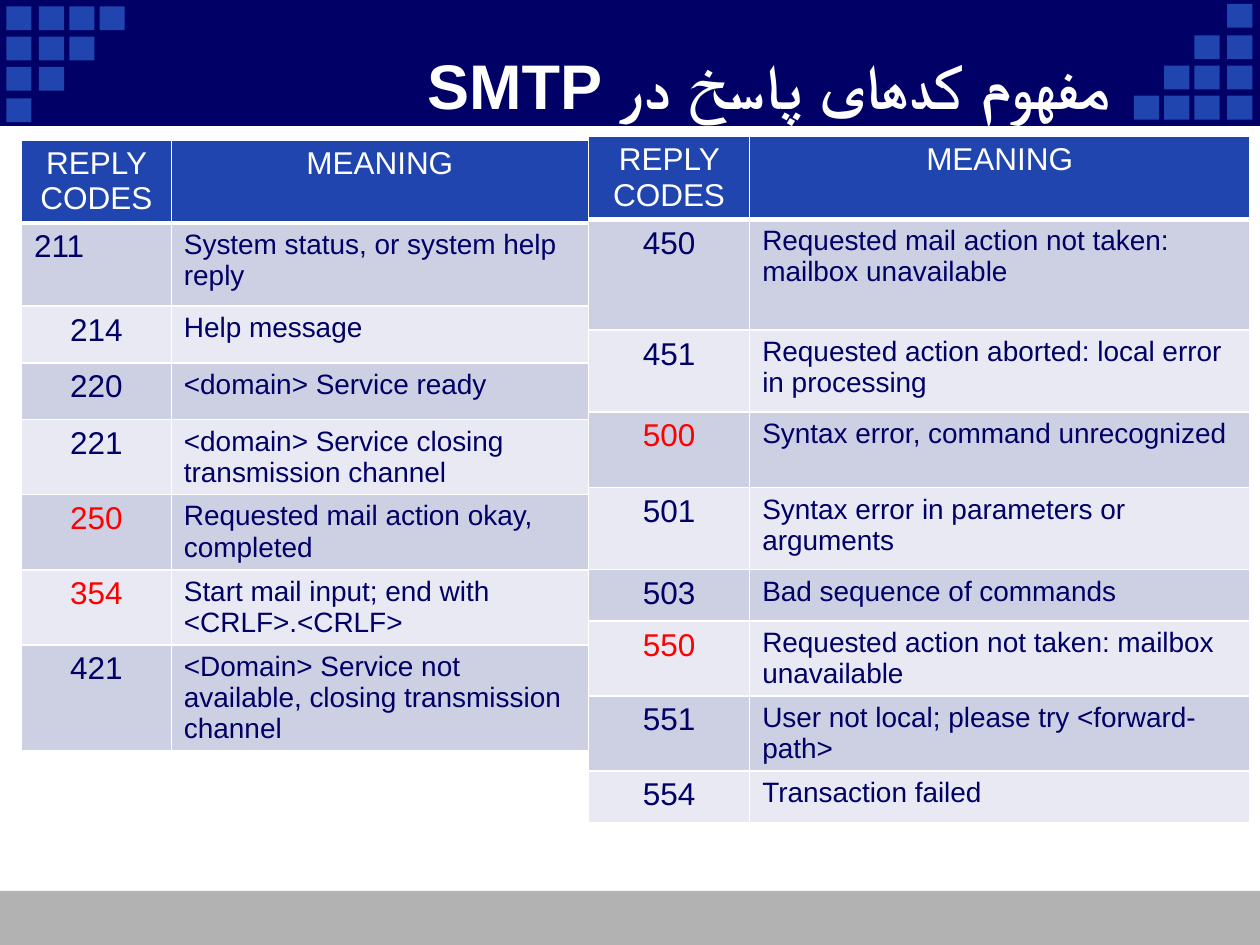
from typing import NamedTuple

from lxml.etree import SubElement
from pptx import Presentation
from pptx.dml.color import RGBColor
from pptx.enum.shapes import MSO_SHAPE
from pptx.enum.text import MSO_ANCHOR, MSO_AUTO_SIZE, PP_ALIGN
from pptx.oxml.ns import qn
from pptx.util import Inches, Pt

NAVY = RGBColor(0x00, 0x00, 0x66)
BLUE = RGBColor(0x20, 0x45, 0xAE)
GRAY = RGBColor(0xB2, 0xB2, 0xB2)
WHITE = RGBColor(0xFF, 0xFF, 0xFF)
RED = RGBColor(0xFF, 0x00, 0x00)
BANDS = (RGBColor(0xCD, 0xCF, 0xE3), RGBColor(0xE8, 0xE9, 0xF2))
FONT = "Arial"
HEADER_HEIGHT = 0.65


class Reply(NamedTuple):
    code: str
    meaning: str
    height: float
    color: RGBColor = NAVY
    align: PP_ALIGN = PP_ALIGN.CENTER


class ReplyTable(NamedTuple):
    left: float
    top: float
    widths: tuple[float, float]
    replies: list[Reply]


SUCCESS = ReplyTable(0.17, 1.11, (1.19, 3.31), [
    Reply("211", "System status, or system help reply", 0.66, align=PP_ALIGN.LEFT),
    Reply("214", "Help message", 0.45),
    Reply("220", "<domain> Service ready", 0.45),
    Reply("221", "<domain> Service closing transmission channel", 0.59),
    Reply("250", "Requested mail action okay, completed", 0.6, RED),
    Reply("354", "Start mail input; end with <CRLF>.<CRLF>", 0.59, RED),
    Reply("421", "<Domain> Service not available, closing transmission channel", 0.83),
])
FAILURE = ReplyTable(4.67, 1.08, (1.28, 3.97), [
    Reply("450", "Requested mail action not taken: mailbox unavailable", 0.88),
    Reply("451", "Requested action aborted: local error in processing", 0.65),
    Reply("500", "Syntax error, command unrecognized", 0.6, RED),
    Reply("501", "Syntax error in parameters or arguments", 0.65),
    Reply("503", "Bad sequence of commands", 0.41),
    Reply("550", "Requested action not taken: mailbox unavailable", 0.59, RED),
    Reply("551", "User not local; please try <forward-path>", 0.59),
    Reply("554", "Transaction failed", 0.41),
])


def add_rect(s, x: float, y: float, w: float, h: float, color: RGBColor) -> None:
    sp = s.shapes.add_shape(MSO_SHAPE.RECTANGLE, Inches(x), Inches(y), Inches(w), Inches(h))
    sp.shadow.inherit = False
    sp.fill.solid()
    sp.fill.fore_color.rgb = color
    sp.line.fill.background()


def add_corner_squares(s) -> None:
    """Draw a staircase of squares top left, and the same one turned top right."""
    w, h = 0.2, 0.19
    xs, ys = (0.05, 0.31, 0.55, 0.79), (0.05, 0.29, 0.53, 0.78)
    for row, y in enumerate(ys):
        for x in xs[:len(xs) - row]:
            add_rect(s, x, y, w, h, BLUE)
            add_rect(s, 9.99 - x - w, 1 - y - h, w, h, BLUE)


def add_run(p, text: str, size: int, color: RGBColor, bold: bool = False) -> None:
    r = p.add_run()
    r.text = text
    r.font.name = FONT
    r.font.size = Pt(size)
    r.font.bold = bold
    r.font.color.rgb = color


def set_borders(cell, bottom: float) -> None:
    tc_pr = cell._tc.get_or_add_tcPr()
    for side, width in (("L", 1), ("R", 1), ("T", 1), ("B", bottom)):
        ln = SubElement(tc_pr, qn(f"a:ln{side}"), w=str(Pt(width)))
        fill = SubElement(ln, qn("a:solidFill"))
        SubElement(fill, qn("a:srgbClr"), val=str(WHITE))


def fill_cell(cell, text: str, size: int, color: RGBColor, band: RGBColor,
              align: PP_ALIGN, bottom: float = 1) -> None:
    set_borders(cell, bottom)
    cell.fill.solid()
    cell.fill.fore_color.rgb = band
    p = cell.text_frame.paragraphs[0]
    p.alignment = align
    add_run(p, text, size, color)


def add_reply_table(s, spec_: ReplyTable) -> None:
    heights = [HEADER_HEIGHT] + [reply.height for reply in spec_.replies]
    table = s.shapes.add_table(
        len(heights), 2, Inches(spec_.left), Inches(spec_.top),
        Inches(sum(spec_.widths)), Inches(sum(heights))).table
    for col, width in zip(table.columns, spec_.widths):
        col.width = Inches(width)
    for row, height in zip(table.rows, heights):
        row.height = Inches(height)
    for i, heading in enumerate(("REPLY CODES", "MEANING")):
        fill_cell(table.cell(0, i), heading, 18, WHITE, BLUE, PP_ALIGN.CENTER, bottom=3)
    for i, reply in enumerate(spec_.replies):
        band = BANDS[i % 2]
        fill_cell(table.cell(i + 1, 0), reply.code, 18, reply.color, band, reply.align)
        fill_cell(table.cell(i + 1, 1), reply.meaning, 16, NAVY, band, PP_ALIGN.LEFT)


def add_title(s, text: str) -> None:
    title = s.shapes.title
    title.left, title.top = Inches(0.67), Inches(0.13)
    title.width, title.height = Inches(8.25), Inches(1.08)
    s.shapes._spTree.append(title._element)  # bring in front of the header band
    tf = title.text_frame
    tf.auto_size = MSO_AUTO_SIZE.NONE
    tf.vertical_anchor = MSO_ANCHOR.MIDDLE
    p = tf.paragraphs[0]
    p.alignment = PP_ALIGN.RIGHT
    p._p.get_or_add_pPr().set("rtl", "1")
    add_run(p, text, 36, WHITE, bold=True)


def main() -> None:
    prs = Presentation()
    prs.slide_width, prs.slide_height = Inches(10), Inches(7.5)
    s = prs.slides.add_slide(prs.slide_layouts[5])

    # Header and footer bands
    add_rect(s, 0, 0, 10, 1, NAVY)
    add_corner_squares(s)
    add_rect(s, 0, 7.07, 10, 0.43, GRAY)

    # Title and the two tables
    add_title(s, "مفهوم کدهای پاسخ در SMTP")
    for reply_table in (SUCCESS, FAILURE):
        add_reply_table(s, reply_table)

    prs.save("out.pptx")


if __name__ == "__main__":
    main()
